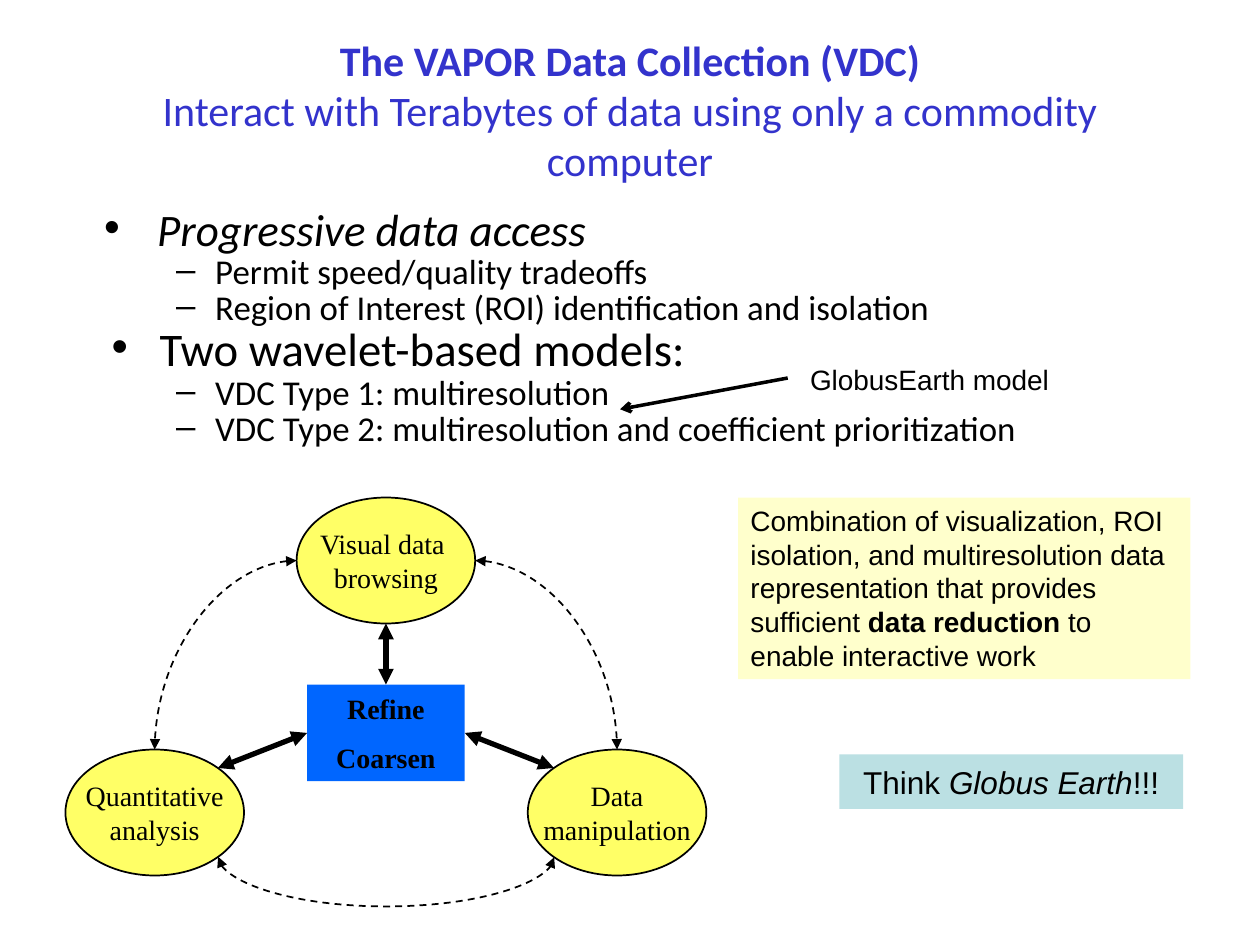
from lxml import etree
from pptx import Presentation
from pptx.dml.color import RGBColor
from pptx.enum import dml, shapes, text
from pptx.oxml.ns import qn
from pptx.util import Cm, Pt

COLORS = {"title": "3333CC", "ink": "000000", "note": "FFFFCC", "stage": "FFFF66",
          "hub": "0066FF", "callout": "BBE0E3", "paper": "FFFFFF"}

TITLE = [[("The VAPOR Data Collection (VDC)", "b"), ("\n", ""),
          ("Interact with Terabytes of data using only a commodity computer", "")]]

OUTLINE = [
    ("•", 25.7, 1.22, -1.07, "Progressive data access", "i"),
    ("–", 19.9, 2.39, -0.79, "Permit speed/quality tradeoffs", ""),
    ("–", 19.9, 2.39, -0.79, "Region of Interest (ROI) identification and isolation", ""),
    ("•", 26.7, 1.27, -0.97, "Two wavelet-based models:", ""),
    ("–", 19.9, 2.39, -0.79, "VDC Type 1: multiresolution", ""),
    ("–", 19.9, 2.39, -0.79, "VDC Type 2: multiresolution and coefficient prioritization", ""),
]

NOTE = [[("Combination of visualization, ROI isolation, and multiresolution data "
          "representation that provides sufficient ", ""),
         ("data reduction", "b"), (" to enable interactive work", "")]]
CALLOUT = [[("Think ", ""), ("Globus Earth", "i"), ("!!!", "")]]
MODEL_LABEL = [[("GlobusEarth model", "")]]
HUB = [[("Refine", "b")], [("Coarsen", "b")]]

CENTER_X, SPREAD = 7.78, 4.66
STAGE_W, STAGE_H = 3.6, 2.54
TOP_Y, LOW_Y = 11.3, 16.38
STAGES = [
    (CENTER_X, TOP_Y, [[("Visual data ", "")], [("browsing", "")]]),
    (CENTER_X + SPREAD, LOW_Y, [[("Data", "")], [("manipulation", "")]]),
    (CENTER_X - SPREAD, LOW_Y, [[("Quantitative", "")], [("analysis", "")]]),
]
HUB_W, HUB_H, HUB_TOP = 3.18, 1.95, 13.8


def add_run(paragraph, wording, style, font, size, color):
    run = paragraph.add_run()
    run.text = wording
    run.font.name, run.font.size = font, Pt(size)
    run.font.bold, run.font.italic = "b" in style, "i" in style
    run.font.color.rgb = RGBColor.from_string(COLORS[color])


def write(frame, paragraphs, font, size, color="ink", align=text.PP_ALIGN.CENTER,
          anchor=text.MSO_ANCHOR.MIDDLE, wrap=True, gap=0):
    frame.word_wrap, frame.vertical_anchor = wrap, anchor
    frame.auto_size = text.MSO_AUTO_SIZE.NONE
    for index, runs in enumerate(paragraphs):
        paragraph = frame.add_paragraph() if index else frame.paragraphs[0]
        paragraph.alignment = align
        if index:
            paragraph.space_before = Pt(gap)
        for wording, style in runs:
            if wording == "\n":
                paragraph.add_line_break()
            else:
                add_run(paragraph, wording, style, font, size, color)


def add_box(slide, kind, box, fill, outlined=False):
    shape = slide.shapes.add_shape(kind, *map(Cm, box))
    shape.shadow.inherit = False
    shape.fill.solid()
    shape.fill.fore_color.rgb = RGBColor.from_string(COLORS[fill])
    if outlined:
        shape.line.color.rgb = RGBColor.from_string(COLORS["ink"])
        shape.line.width = Pt(1)
    else:
        shape.line.fill.background()
    return shape


def add_arrow(slide, start, end, width, heads=("headEnd", "tailEnd"), head="triangle",
              kind=shapes.MSO_CONNECTOR.STRAIGHT, dashed=False):
    connector = slide.shapes.add_connector(kind, *map(Cm, start + end))
    connector.line.color.rgb = RGBColor.from_string(COLORS["ink"])
    connector.line.width = Pt(width)
    if dashed:
        connector.line.dash_style = dml.MSO_LINE.DASH
    line = connector.line._get_or_add_ln()
    for tag in heads:
        etree.SubElement(line, qn("a:" + tag), type=head)
    etree.SubElement(connector._element.spPr, qn("a:effectLst"))
    return connector


def add_curve(slide, start, end):
    return add_arrow(slide, start, end, 1, kind=shapes.MSO_CONNECTOR.CURVE, dashed=True)


def add_outline(slide):
    frame = slide.shapes.add_textbox(Cm(1.7), Cm(4.24), Cm(21.59), Cm(5.28)).text_frame
    frame.word_wrap = True
    for index, (bullet, size, margin, indent, wording, style) in enumerate(OUTLINE):
        paragraph = frame.add_paragraph() if index else frame.paragraphs[0]
        properties = paragraph._p.get_or_add_pPr()
        properties.set("marL", str(Cm(margin)))
        properties.set("indent", str(Cm(indent)))
        etree.SubElement(properties, qn("a:buFont"), typeface="Arial")
        etree.SubElement(properties, qn("a:buChar"), char=bullet)
        paragraph.level = 0 if bullet == "•" else 1
        paragraph.line_spacing = 0.7
        if index:
            paragraph.space_before = Pt(round(size * 0.2))
        add_run(paragraph, wording, style, "Calibri", size, "ink")


def add_cycle(slide):
    for x, y, wording in STAGES:
        box = (x - STAGE_W / 2, y - STAGE_H / 2, STAGE_W, STAGE_H)
        stage = add_box(slide, shapes.MSO_SHAPE.OVAL, box, "stage", outlined=True)
        write(stage.text_frame, wording, "Times New Roman", 16, wrap=False)
    hub = add_box(slide, shapes.MSO_SHAPE.RECTANGLE,
                  (CENTER_X - HUB_W / 2, HUB_TOP, HUB_W, HUB_H), "hub")
    write(hub.text_frame, HUB, "Times New Roman", 16, gap=9)

    diagonal = 0.5 ** 0.5
    corner_x, corner_y = STAGE_W / 2 * diagonal, STAGE_H / 2 * diagonal
    spoke = add_arrow(slide, (CENTER_X, TOP_Y + STAGE_H / 2), (CENTER_X, HUB_TOP), 3)
    spoke.end_connect(hub, 0)
    for side, site in ((-1, 1), (1, 3)):
        low_x = CENTER_X + side * SPREAD
        spoke = add_arrow(slide, (low_x - side * corner_x, LOW_Y - corner_y),
                          (CENTER_X + side * HUB_W / 2, HUB_TOP + HUB_H / 2), 3)
        spoke.end_connect(hub, site)
        curve = add_curve(slide, (CENTER_X + side * STAGE_W / 2, TOP_Y),
                          (low_x, LOW_Y - STAGE_H / 2))
        curve._element.spPr.find(qn("a:prstGeom")).set("prst", "curvedConnector2")

    half, base, thin = SPREAD - corner_x, LOW_Y + corner_y, 0.01
    curve = add_curve(slide, (CENTER_X + thin, base - half), (CENTER_X, base + half))
    properties = curve._element.spPr
    properties.find(qn("a:xfrm")).set("rot", str(270 * 60000))
    guides = properties.find(qn("a:prstGeom")).get_or_add_avLst()
    etree.SubElement(guides, qn("a:gd"), name="adj1", fmla=f"val {round(1 / thin) * 100000}")


def main():
    presentation = Presentation()
    presentation.slide_width, presentation.slide_height = Cm(25.4), Cm(19.05)
    slide = presentation.slides.add_slide(presentation.slide_layouts[5])

    title = slide.shapes.title
    title.left, title.top, title.width, title.height = map(Cm, (1.9, 0.2, 21.6, 4.02))
    write(title.text_frame, TITLE, "Calibri", 24, "title")
    add_outline(slide)

    rectangle = shapes.MSO_SHAPE.RECTANGLE
    note = add_box(slide, rectangle, (14.88, 10.03, 9.12, 3.66), "note")
    write(note.text_frame, NOTE, "Arial", 16, align=text.PP_ALIGN.LEFT,
          anchor=text.MSO_ANCHOR.TOP)
    add_cycle(slide)
    callout = add_box(slide, rectangle, (16.92, 15.21, 6.93, 1.1), "callout")
    write(callout.text_frame, CALLOUT, "Arial", 18, wrap=False)
    label = add_box(slide, rectangle, (16.08, 7.19, 5.44, 0.94), "paper")
    write(label.text_frame, MODEL_LABEL, "Arial", 16, align=text.PP_ALIGN.LEFT,
          anchor=text.MSO_ANCHOR.TOP, wrap=False)
    add_arrow(slide, (15.88, 7.62), (12.5, 8.25), 2, heads=("tailEnd",), head="arrow")

    presentation.save("out.pptx")


if __name__ == "__main__":
    main()
